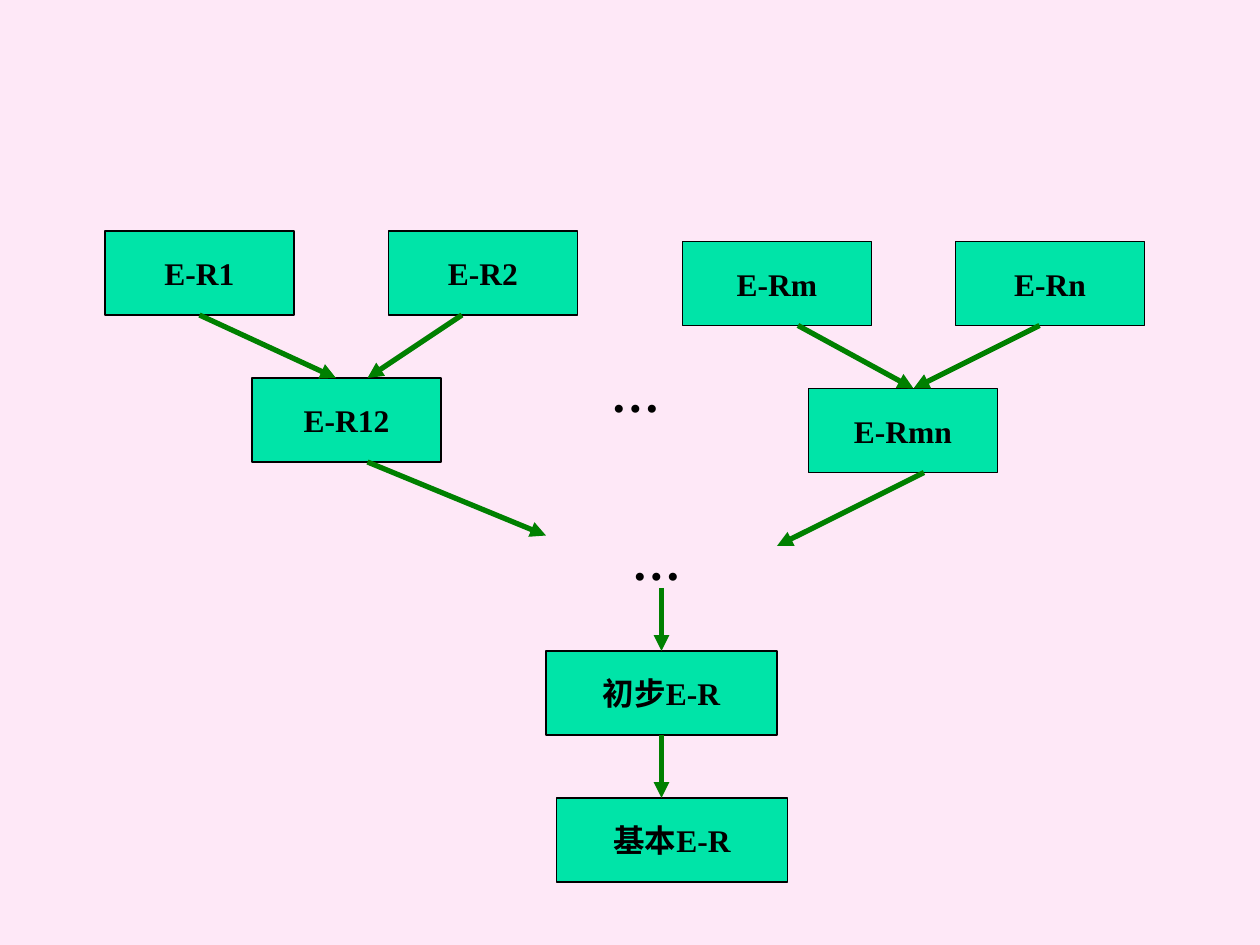
from lxml.etree import SubElement
from pptx import Presentation
from pptx.dml.color import RGBColor
from pptx.enum.shapes import MSO_CONNECTOR as Connector, MSO_SHAPE as Shape
from pptx.enum.text import MSO_ANCHOR as Anchor, PP_ALIGN as Align
from pptx.oxml.ns import qn
from pptx.util import Inches, Pt

COLUMNS, ROWS = 120, 90
CELL = Inches(10) // COLUMNS
BOX_HEIGHT, BRANCH_WIDTH, RESULT_WIDTH = 8, 18, 22
FONT = "Times New Roman"
COLORS = {"page": "FEE8F7", "box": "00E4A8", "ink": "000000", "arrow": "008000"}


def color(name):
    return RGBColor.from_string(COLORS[name])


def cells(*counts):
    return [count * CELL for count in counts]


def write(shape, text, size):
    frame = shape.text_frame
    frame.word_wrap = False
    para = frame.paragraphs[0]
    para.text = text
    para.alignment = Align.CENTER
    font = para.font
    font.name, font.size, font.bold = FONT, Pt(size), True
    font.color.rgb = color("ink")
    return frame


def add_box(page, text, left, top, width):
    box = page.shapes.add_shape(Shape.RECTANGLE, *cells(left, top, width, BOX_HEIGHT))
    box.shadow.inherit = False
    box.fill.solid()
    box.fill.fore_color.rgb = color("box")
    box.line.color.rgb = color("ink")
    box.line.width = Pt(0.75)
    write(box, text, 18).vertical_anchor = Anchor.MIDDLE


def add_dots(page, left, top):
    write(page.shapes.add_textbox(*cells(left, top, 7, 7)), "…", 28)


def add_arrow(page, start, end):
    arrow = page.shapes.add_connector(Connector.STRAIGHT, *cells(*start, *end))
    arrow.line.color.rgb = color("arrow")
    arrow.line.width = Pt(3)
    SubElement(arrow.line._get_or_add_ln(), qn("a:tailEnd"), type="triangle")
    SubElement(arrow._element.spPr, qn("a:effectLst"))


def add_branch(page, left, top, names, offsets, arrows):
    """Two diagrams merging into a third; arrows hold start and end columns."""
    tops = (0, 0, 14)
    for name, offset, down in zip(names, offsets, tops):
        add_box(page, name, left + offset, top + down, BRANCH_WIDTH)
    spans = ((8, 14), (8, 14), (22, 29))
    for (start, end), (upper, lower) in zip(arrows, spans):
        add_arrow(page, (left + start, top + upper), (left + end, top + lower))


def add_results(page, left, top):
    """The preliminary diagram leading down to the basic one."""
    step = 14
    add_dots(page, left + 7, top)
    for index, name in enumerate(("初步E-R", "基本E-R")):
        box_top = top + 12 + index * step
        add_box(page, name, left + index, box_top, RESULT_WIDTH)
        add_arrow(page, (left + 11, box_top - 6), (left + 11, box_top))


def main():
    deck = Presentation()
    deck.slide_width, deck.slide_height = cells(COLUMNS, ROWS)
    page = deck.slides.add_slide(deck.slide_layouts[6])
    page.background.fill.solid()
    page.background.fill.fore_color.rgb = color("page")

    add_branch(page, 10, 22, ("E-R1", "E-R2", "E-R12"), (0, 27, 14),
               ((9, 22), (34, 25), (25, 42)))
    add_branch(page, 65, 23, ("E-Rm", "E-Rn", "E-Rmn"), (0, 26, 12),
               ((11, 22), (34, 22), (23, 9)))
    add_dots(page, 57, 34)
    add_results(page, 52, 50)
    deck.save("out.pptx")


if __name__ == "__main__":
    main()
